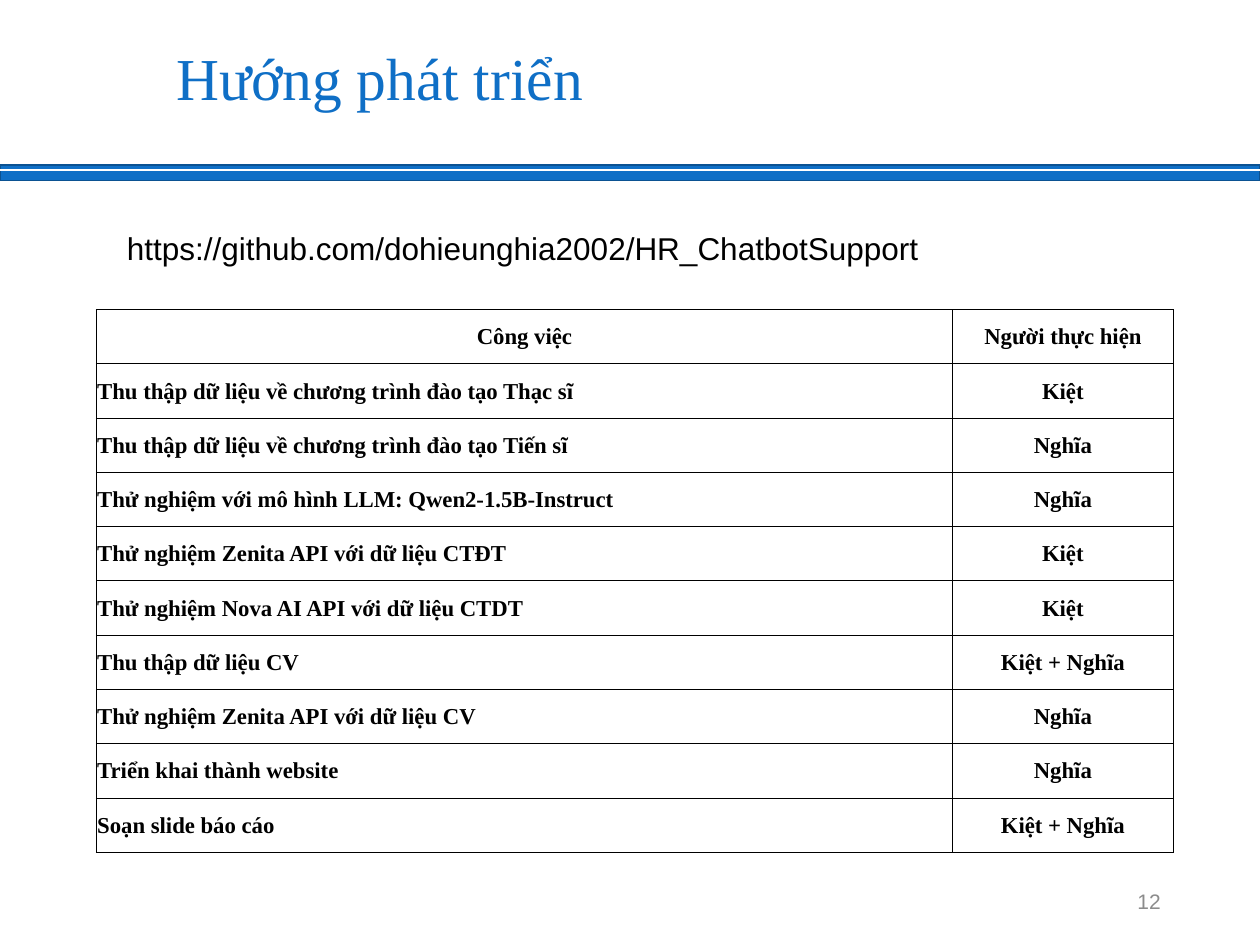
from lxml.etree import SubElement
from pptx import Presentation
from pptx.dml.color import RGBColor
from pptx.enum.shapes import MSO_CONNECTOR, MSO_SHAPE
from pptx.enum.text import MSO_ANCHOR, MSO_AUTO_SIZE, PP_ALIGN
from pptx.oxml.ns import qn
from pptx.util import Cm, Pt


def color(hex_code):
    return RGBColor.from_string(hex_code)


def write(paragraph, text, size, font, hex_code, align=PP_ALIGN.LEFT, bold=False):
    paragraph.alignment = align
    run = paragraph.add_run()
    run.text = text
    run.font.size = Pt(size)
    run.font.name = font
    run.font.bold = bold
    run.font.color.rgb = color(hex_code)


BLUE, BLACK = "0F6FC6", "000000"
SERIF, SANS = "Times New Roman", "Arial"

prs = Presentation()
prs.slide_width, prs.slide_height = Cm(25.4), Cm(19.05)
slide = prs.slides.add_slide(prs.slide_layouts[5])

# Header band with a white stripe
band = slide.shapes.add_shape(MSO_SHAPE.RECTANGLE, Cm(0), Cm(3.32), Cm(25.4), Cm(0.32))
band.shadow.inherit = False
band.fill.solid()
band.fill.fore_color.rgb = color(BLUE)
band.line.color.rgb = color("0B5292")
band.line.width = Pt(1)

stripe = slide.shapes.add_connector(
    MSO_CONNECTOR.STRAIGHT, Cm(0), Cm(3.43), Cm(25.4), Cm(3.43))
stripe.line.color.rgb = color("FFFFFF")
stripe.line.width = Pt(1.5)
SubElement(stripe.element.spPr, qn("a:effectLst"))

# Title
title = slide.shapes.title
title.left, title.top, title.width, title.height = Cm(3.3), Cm(0), Cm(22.1), Cm(3.28)
heading = title.text_frame
heading.auto_size = MSO_AUTO_SIZE.NONE
heading.vertical_anchor = MSO_ANCHOR.MIDDLE
heading.paragraphs[0].line_spacing = 0.9
write(heading.paragraphs[0], "Hướng phát triển", 34, SERIF, BLUE)

# Repository address
repository = slide.shapes.add_textbox(Cm(2.31), Cm(4.5), Cm(20.78), Cm(1.03)).text_frame
repository.word_wrap = True
repository.auto_size = MSO_AUTO_SIZE.SHAPE_TO_FIT_TEXT
write(repository.paragraphs[0], "https://github.com/dohieunghia2002/HR_ChatbotSupport",
      18, SANS, BLACK)

# Task table
tasks = [
    ("Công việc", "Người thực hiện"),
    ("Thu thập dữ liệu về chương trình đào tạo Thạc sĩ", "Kiệt"),
    ("Thu thập dữ liệu về chương trình đào tạo Tiến sĩ", "Nghĩa"),
    ("Thử nghiệm với mô hình LLM: Qwen2-1.5B-Instruct", "Nghĩa"),
    ("Thử nghiệm Zenita API với dữ liệu CTĐT", "Kiệt"),
    ("Thử nghiệm Nova AI API với dữ liệu CTDT", "Kiệt"),
    ("Thu thập dữ liệu CV", "Kiệt + Nghĩa"),
    ("Thử nghiệm Zenita API với dữ liệu CV", "Nghĩa"),
    ("Triển khai thành website", "Nghĩa"),
    ("Soạn slide báo cáo", "Kiệt + Nghĩa"),
]
task_table = slide.shapes.add_table(
    len(tasks), 2, Cm(1.94), Cm(6.24), Cm(21.71), Cm(10.95)).table
task_table.columns[0].width = Cm(17.26)
task_table.columns[1].width = Cm(4.45)
task_table.first_row = task_table.horz_banding = False

for row, entry in enumerate(tasks):
    for column, text in enumerate(entry):
        cell = task_table.cell(row, column)
        cell.vertical_anchor = MSO_ANCHOR.MIDDLE
        cell.margin_left = cell.margin_right = cell.margin_top = Cm(0.02)
        cell.margin_bottom = Cm(0)
        centred = row == 0 or column == 1
        write(cell.text_frame.paragraphs[0], text, 13, SERIF, BLACK,
              PP_ALIGN.CENTER if centred else PP_ALIGN.LEFT, bold=True)
        # Borders come before the fill in the cell properties
        properties = cell._tc.get_or_add_tcPr()
        for side in ("a:lnL", "a:lnR", "a:lnT", "a:lnB"):
            border = SubElement(properties, qn(side), w=str(Pt(0.5)))
            border_fill = SubElement(border, qn("a:solidFill"))
            SubElement(border_fill, qn("a:srgbClr"), val=BLACK)
        cell.fill.background()

# Slide number
page = slide.shapes.add_textbox(Cm(17.93), Cm(17.65), Cm(5.72), Cm(1.02)).text_frame
page.word_wrap = True
page.vertical_anchor = MSO_ANCHOR.MIDDLE
write(page.paragraphs[0], "12", 12, SANS, "8C8C8C", PP_ALIGN.RIGHT)

prs.save("out.pptx")
